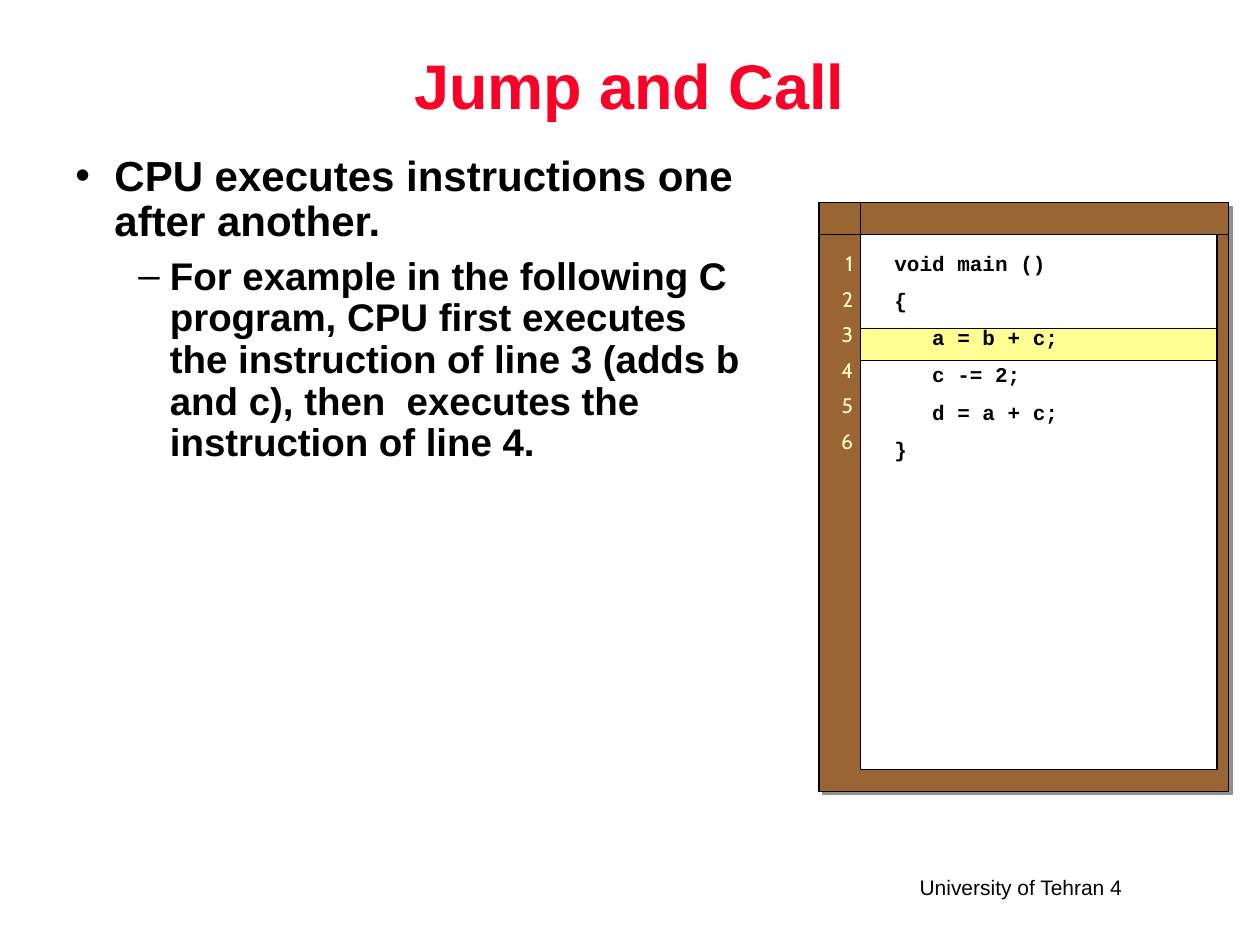
from dataclasses import dataclass

import pptx
import pptx.dml.color
import pptx.enum.shapes
import pptx.enum.text
import pptx.oxml
import pptx.oxml.ns
import pptx.util

Inches = pptx.util.Inches
Pt = pptx.util.Pt
Align = pptx.enum.text.PP_ALIGN


@dataclass(frozen=True)
class Style:
    font: str
    size: int
    color: str = "000000"
    bold: bool = False


@dataclass(frozen=True)
class Theme:
    title: Style = Style("Arial", 36, "FC0128", True)
    point: Style = Style("Arial", 24, bold=True)
    detail: Style = Style("Arial", 22, bold=True)
    footer: Style = Style("Arial", 12)
    line_number: Style = Style("Cabin", 12, "FFFFCC")
    code: Style = Style("Courier New", 12, bold=True)
    frame: str = "996633"
    paper: str = "FFFFFF"
    highlight: str = "FFFF93"
    outline: str = "000000"
    shadow: str = "919191"
    outline_width: float = 0.75


@dataclass(frozen=True)
class Box:
    left: float
    top: float
    width: float
    height: float

    def emu(self) -> tuple:
        return tuple(Inches(v) for v in (self.left, self.top, self.width, self.height))


@dataclass(frozen=True)
class Line:
    """One paragraph; indent is where its text starts, hang is how far left its bullet sits."""
    text: str
    style: Style
    align: Align = Align.LEFT
    spacing: float = 1.0
    before: float = 0
    bullet: str = ""
    indent: float = 0
    hang: float = 0


THEME = Theme()
FRAME = Box(6.5, 1.61, 3.25, 4.67)
PAPER = Box(6.83, 1.86, 2.83, 4.25)
HIGHLIGHT = Box(PAPER.left, 2.61, PAPER.width, 0.25)
CODE = ["void main ()", "{", "   a = b + c;", "   c -= 2;", "   d = a + c;", "}"]


def rgb(color: str) -> pptx.dml.color.RGBColor:
    return pptx.dml.color.RGBColor.from_string(color)


def add_bullet(para, line: Line) -> None:
    properties = para._p.get_or_add_pPr()
    properties.set("marL", str(Inches(line.indent)))
    properties.set("indent", str(-Inches(line.hang)))
    namespace = pptx.oxml.ns.nsdecls("a")
    properties.append(pptx.oxml.parse_xml(
        f'<a:buFont {namespace} typeface="{line.style.font}"/>'))
    properties.append(pptx.oxml.parse_xml(
        f'<a:buChar {namespace} char="{line.bullet}"/>'))


def add_text(page, box: Box, lines: list[Line], side: float = 0.1,
             anchor=pptx.enum.text.MSO_ANCHOR.TOP) -> None:
    frame = page.shapes.add_textbox(*box.emu()).text_frame
    frame.word_wrap = True
    frame.vertical_anchor = anchor
    frame.margin_left = frame.margin_right = Inches(side)
    frame.text = "\n".join(line.text for line in lines)
    for para, line in zip(frame.paragraphs, lines):
        para.alignment = line.align
        para.line_spacing = line.spacing
        para.space_before = Pt(line.before)
        if line.bullet:
            add_bullet(para, line)
        for span in para.runs:
            span.font.name = line.style.font
            span.font.size = Pt(line.style.size)
            span.font.bold = line.style.bold
            span.font.color.rgb = rgb(line.style.color)


def outline(line) -> None:
    line.color.rgb = rgb(THEME.outline)
    line.width = Pt(THEME.outline_width)


def add_panel(page, box: Box, fill: str):
    panel = page.shapes.add_shape(pptx.enum.shapes.MSO_SHAPE.RECTANGLE, *box.emu())
    panel.shadow.inherit = False
    panel.fill.solid()
    panel.fill.fore_color.rgb = rgb(fill)
    outline(panel.line)
    return panel


def add_drop_shadow(panel) -> None:
    effects = panel._element.spPr.find(pptx.oxml.ns.qn("a:effectLst"))
    effects.append(pptx.oxml.parse_xml(
        f'<a:outerShdw {pptx.oxml.ns.nsdecls("a")} dist="{Pt(2.8)}" dir="2700000" '
        f'algn="ctr" rotWithShape="0"><a:srgbClr val="{THEME.shadow}"/></a:outerShdw>'))


def add_rule(page, start: tuple[float, float], end: tuple[float, float]) -> None:
    rule = page.shapes.add_connector(
        pptx.enum.shapes.MSO_CONNECTOR.STRAIGHT, *(Inches(v) for v in start + end))
    outline(rule.line)
    rule._element.spPr.append(
        pptx.oxml.parse_xml(f'<a:effectLst {pptx.oxml.ns.nsdecls("a")}/>'))


def add_listing(page) -> None:
    """Code window with a line-number gutter and one highlighted line."""
    add_drop_shadow(add_panel(page, FRAME, THEME.frame))
    numbers = [Line(str(number), THEME.line_number, Align.RIGHT, before=5.9)
               for number in range(1, len(CODE) + 1)]
    add_text(page, Box(6.58, 1.94, 0.25, 1.8), numbers, side=0.06)
    add_panel(page, PAPER, THEME.paper)
    add_panel(page, HIGHLIGHT, THEME.highlight)
    add_text(page, Box(7, 1.94, 2.5, 1.8),
             [Line(text, THEME.code, before=6.8) for text in CODE])
    add_rule(page, (PAPER.left, PAPER.top), (PAPER.left, FRAME.top))
    add_rule(page, (FRAME.left, PAPER.top), (FRAME.left + FRAME.width, PAPER.top))


def main() -> None:
    deck = pptx.Presentation()
    deck.slide_width, deck.slide_height = Inches(10), Inches(7.5)
    page = deck.slides.add_slide(deck.slide_layouts[6])
    add_text(page, Box(7.2, 6.89, 2.68, 0.3),
             [Line("University of Tehran 4", THEME.footer)])
    add_text(page, Box(1.08, 0.08, 7.83, 1.25),
             [Line("Jump and Call", THEME.title, Align.CENTER, 0.9)],
             anchor=pptx.enum.text.MSO_ANCHOR.MIDDLE)
    add_text(page, Box(0.5, 1.18, 5.59, 5.61), [
        Line("CPU executes instructions one after another.", THEME.point,
             spacing=0.9, before=7.2, bullet="•", indent=0.31, hang=0.31),
        Line("For example in the following C program, CPU first executes the instruction "
             "of line 3 (adds b and c), then  executes the instruction of line 4.",
             THEME.detail, spacing=0.9, before=6.6, bullet="–", indent=0.75, hang=0.25),
    ])
    add_listing(page)
    deck.save("out.pptx")


if __name__ == "__main__":
    main()
